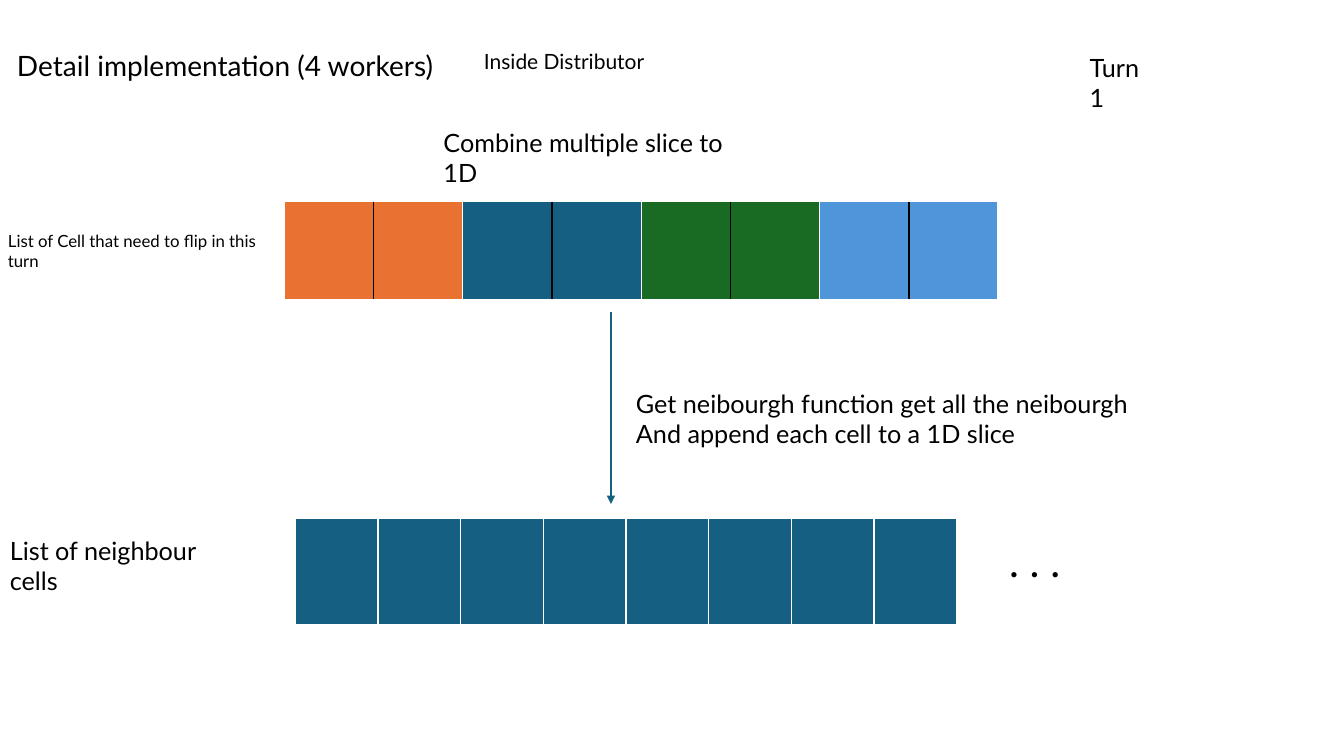
from dataclasses import dataclass

from lxml import etree
from pptx import Presentation
from pptx.dml.color import RGBColor
from pptx.enum.shapes import MSO_CONNECTOR
from pptx.enum.text import MSO_ANCHOR, MSO_AUTO_SIZE, PP_ALIGN
from pptx.oxml.ns import qn
from pptx.util import Inches, Pt

STRAIGHT = MSO_CONNECTOR.STRAIGHT
TOP, MIDDLE = MSO_ANCHOR.TOP, MSO_ANCHOR.MIDDLE
LEFT = PP_ALIGN.LEFT
NO_AUTOFIT = MSO_AUTO_SIZE.NONE
TITLE_ONLY = 5


@dataclass(frozen=True)
class Theme:
    font: str = "Lato"
    black: str = "000000"
    blue: str = "156082"
    orange: str = "E97132"
    green: str = "196B24"
    sky: str = "4E95D9"
    heading: int = 20
    title: int = 15
    body: int = 18
    small: int = 12
    dots: int = 30


theme = Theme()


def write_text(shape, box, lines, size, anchor=TOP, line_spacing=None):
    """Place a text shape and fill it with one paragraph per line."""
    for name, value in zip(("left", "top", "width", "height"), box):
        setattr(shape, name, Inches(value))
    frame = shape.text_frame
    frame_format = {"word_wrap": True, "auto_size": NO_AUTOFIT, "vertical_anchor": anchor}
    for name, value in frame_format.items():
        setattr(frame, name, value)
    frame.text = "\n".join(lines)
    for paragraph in frame.paragraphs:
        paragraph.alignment = LEFT
        paragraph.line_spacing = line_spacing
        font = paragraph.runs[0].font
        font.name = theme.font
        font.size = Pt(size)
        font.color.rgb = RGBColor.from_string(theme.black)


def add_line(x, top, bottom, color, width):
    """Add a vertical line without a shadow."""
    line = slide.shapes.add_connector(STRAIGHT, Inches(x), Inches(top), Inches(x), Inches(bottom))
    line.line.color.rgb = RGBColor.from_string(color)
    line.line.width = Pt(width)
    etree.SubElement(line._element.spPr, qn("a:effectLst"))
    return line


presentation = Presentation()
presentation.slide_width = Inches(13.33)
presentation.slide_height = Inches(7.5)
slide = presentation.slides.add_slide(presentation.slide_layouts[TITLE_ONLY])

# Slices: neighbour cells, then the flipped cells of the four workers
flip_left, flip_top, flip_height, worker_width = 2.82, 2, 0.97, 1.77
worker_colors = [theme.orange, theme.blue, theme.green, theme.sky]
slices = [
    (2.93, 5.14, 0.82, 1.06, [theme.blue] * 8),
    (flip_left, flip_top, worker_width, flip_height, worker_colors),
]
for left, top, cell_width, height, colors in slices:
    table = slide.shapes.add_table(
        1, len(colors), Inches(left), Inches(top),
        Inches(cell_width * len(colors)), Inches(height),
    ).table
    for column, color in enumerate(colors):
        table.columns[column].width = Inches(cell_width)
        fill = table.cell(0, column).fill
        fill.solid()
        fill.fore_color.rgb = RGBColor.from_string(color)

# Each worker's slice is split in half
for worker in range(len(worker_colors)):
    middle = flip_left + (worker + 0.5) * worker_width
    add_line(middle, flip_top, flip_top + flip_height, theme.black, 1)

arrow = add_line(6.06, 3.1, 5, theme.blue, 1.5)
etree.SubElement(arrow.line._get_or_add_ln(), qn("a:tailEnd"), type="triangle")

write_text(slide.shapes.title, (4.7, -0.1, 11.5, 1.45), ["Inside Distributor"],
           theme.title, MIDDLE, 0.9)
write_text(slide.shapes.add_textbox(0, 0, 0, 0), (0.07, -0.06, 11.5, 1.45),
           ["Detail implementation (4 workers)"], theme.heading, MIDDLE, 0.9)

labels = [
    ((6.21, 3.8, 5.14, 0.71), theme.body,
     ["Get neibourgh function get all the neibourgh", "And append each cell to a 1D slice"]),
    ((4.3, 1.21, 3.35, 0.4), theme.body, ["Combine multiple slice to 1D"]),
    ((10.71, 0.47, 0.86, 0.4), theme.body, ["Turn 1"]),
    ((0, 5.26, 2.57, 0.4), theme.body, ["List of neighbour cells"]),
    ((-0.02, 2.24, 2.95, 0.3), theme.small, ["List of Cell that need to flip in this turn"]),
    ((9.91, 5.26, 0.82, 0.61), theme.dots, [". . ."]),
]
for box, size, lines in labels:
    write_text(slide.shapes.add_textbox(0, 0, 0, 0), box, lines, size)

presentation.save("out.pptx")
